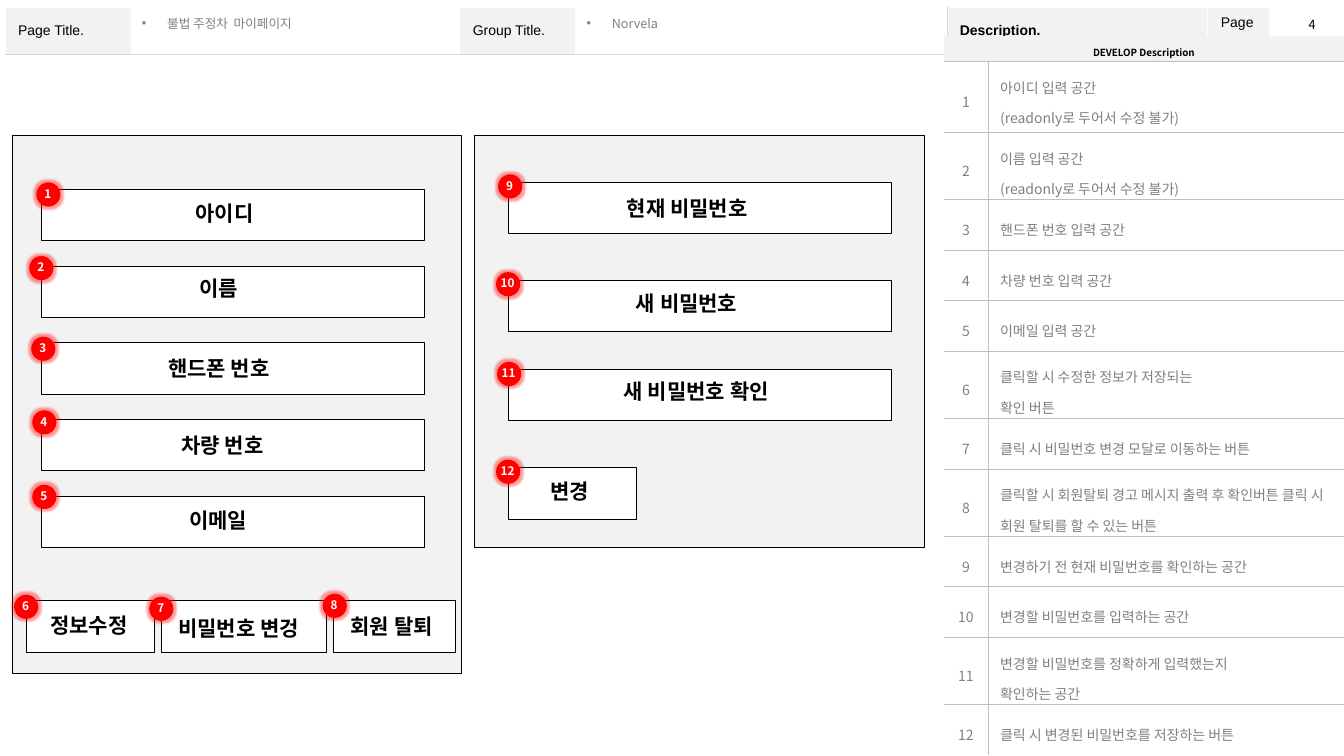
from lxml import etree
from pptx import Presentation
from pptx import util as u
from pptx.dml.color import RGBColor
from pptx.enum import shapes, text
from pptx.oxml.ns import qn

WIDTH, HEIGHT = 13.33, 7.5
KOREAN, LATIN = "Noto Sans CJK KR", "Arial"
COLORS = {"black": "000000", "white": "FFFFFF", "panel": "F2F2F2", "gray": "808080",
          "rule": "BFBFBF", "pale_rule": "D9D9D9", "badge": "FF0000"}

HEADINGS = {0: "Page Title.", 2: "Group Title.", 4: "Description.", 5: "Page."}
HEADER_COLUMNS = [1.26, 3.25, 1.15, 3.68, 2.59, 0.61, 0.68]
HEADER_ROWS = [0.47, 6.66]
HEADER_VALUES = [("불법 주정차  마이페이지", 1.31, 3.24), ("Norvela", 5.72, 3.64)]
PAGE_NUMBER = "4"

DESCRIPTION_TITLE = "DEVELOP Description"
DESCRIPTIONS = [
    "아이디 입력 공간\n(readonly로 두어서 수정 불가)",
    "이름 입력 공간\n(readonly로 두어서 수정 불가)",
    "핸드폰 번호 입력 공간",
    "차량 번호 입력 공간",
    "이메일 입력 공간",
    "클릭할 시 수정한 정보가 저장되는\n확인 버튼",
    "클릭 시 비밀번호 변경 모달로 이동하는 버튼",
    "클릭할 시 회원탈퇴 경고 메시지 출력 후 확인버튼 클릭 시 회원 탈퇴를 할 수 있는 버튼",
    "변경하기 전 현재 비밀번호를 확인하는 공간",
    "변경할 비밀번호를 입력하는 공간",
    "변경할 비밀번호를 정확하게 입력했는지\n확인하는 공간",
    "클릭 시 변경된 비밀번호를 저장하는 버튼",
]
DESCRIPTION_COLUMNS = [0.44, 3.53]
DESCRIPTION_ROWS = [0.25, 0.7, 0.67, 0.5, 0.5, 0.5, 0.67, 0.5, 0.67, 0.5, 0.5, 0.67, 0.5]

PANELS = [(0.12, 1.34, 4.46, 5.34), (4.71, 1.34, 4.46, 4.09)]
FIELD_WIDTH, FIELD_HEIGHT = 3.8, 0.51
LEFT_FIELD, RIGHT_FIELD = 0.41, 5.04
LEFT_ROWS = [1.88 + 0.76 * row for row in range(5)]
BUTTON_ROW = 5.96
# label, (left, top, width) of its box, badge offset and label offset from the box
FIELDS = [
    ("아이디", (LEFT_FIELD, LEFT_ROWS[0], FIELD_WIDTH), (-0.05, -0.07), (1.43, 0.06)),
    ("이름", (LEFT_FIELD, LEFT_ROWS[1], FIELD_WIDTH), (-0.12, -0.1), (1.47, 0.04)),
    ("핸드폰 번호", (LEFT_FIELD, LEFT_ROWS[2], FIELD_WIDTH), (-0.1, -0.06), (1.16, 0.08)),
    ("차량 번호", (LEFT_FIELD, LEFT_ROWS[3], FIELD_WIDTH), (-0.09, -0.09), (1.29, 0.08)),
    ("이메일", (LEFT_FIELD, LEFT_ROWS[4], FIELD_WIDTH), (-0.09, -0.11), (1.37, 0.06)),
    ("정보수정", (0.26, BUTTON_ROW, 1.27), (-0.12, -0.06), (0.14, 0.07)),
    ("비밀번호 변겅", (1.6, BUTTON_ROW, 1.64), (-0.12, -0.04), (0.07, 0.1)),
    ("회원 탈퇴", (3.31, BUTTON_ROW, 1.21), (-0.11, -0.07), (0.07, 0.08)),
    ("현재 비밀번호", (RIGHT_FIELD, 1.81, FIELD_WIDTH), (-0.1, -0.08), (1.08, 0.08)),
    ("새 비밀번호", (RIGHT_FIELD, 2.78, FIELD_WIDTH), (-0.12, -0.08), (1.17, 0.05)),
    ("새 비밀번호 확인", (RIGHT_FIELD, 3.66, FIELD_WIDTH), (-0.11, -0.07), (1.05, 0.05)),
    ("변경", (RIGHT_FIELD, 4.64, 1.27), (-0.12, -0.08), (0.32, 0.06)),
]


def rgb(color):
    return RGBColor.from_string(COLORS[color])


def inches(*lengths):
    return [u.Inches(length) for length in lengths]


def write(frame, words, size, color, bold=False, font=KOREAN, align=None, spacing=None):
    frame.text = words
    for paragraph in frame.paragraphs:
        paragraph.alignment = align
        paragraph.line_spacing = spacing
        for run in paragraph.runs:
            run.font.size, run.font.bold, run.font.name = u.Pt(size), bold, font
            run.font.color.rgb = rgb(color)
            etree.SubElement(run.font._element, qn("a:ea"), typeface=font)


def add_text(parent, words, box, size, color, margin=0.1, **style):
    frame = parent.add_textbox(*inches(*box)).text_frame
    frame.word_wrap = True
    frame.vertical_anchor = text.MSO_ANCHOR.MIDDLE
    frame.margin_left = u.Inches(margin)
    frame.margin_right = frame.margin_top = frame.margin_bottom = 0
    write(frame, words, size, color, **style)
    return frame


def add_box(parent, kind, box, fill, line=None):
    shape = parent.add_shape(kind, *inches(*box))
    shape.shadow.inherit = False
    shape.fill.solid()
    shape.fill.fore_color.rgb = rgb(fill)
    if line:
        shape.line.color.rgb = rgb(line)
        shape.line.width = u.Pt(0.5)
    else:
        shape.line.fill.background()
    return shape


def add_grid(left, top, columns, rows):
    size = (left, top, sum(columns), sum(rows))
    table = slide.shapes.add_table(len(rows), len(columns), *inches(*size)).table
    table.first_row = table.horz_banding = False
    for column, width in zip(table.columns, columns):
        column.width = u.Inches(width)
    for row, height in zip(table.rows, rows):
        row.height = u.Inches(height)
    return table


def style_cell(cell, fill, margins, **borders):
    """Set fill, margins and the borders L, R, T, B as (color, points); a missing one is hidden."""
    cell.vertical_anchor = text.MSO_ANCHOR.MIDDLE
    cell.margin_left = cell.margin_right = u.Inches(margins[0])
    cell.margin_top = cell.margin_bottom = u.Inches(margins[1])
    if fill:
        cell.fill.solid()
        cell.fill.fore_color.rgb = rgb(fill)
    else:
        cell.fill.background()
    properties = cell._tc.get_or_add_tcPr()
    for index, side in enumerate("LRTB"):
        color, points = borders.get(side, (None, 0))
        line = etree.Element(qn("a:ln" + side), w=str(int(u.Pt(points))))
        paint = etree.SubElement(line, qn("a:solidFill" if color else "a:noFill"))
        if color:
            etree.SubElement(paint, qn("a:srgbClr"), val=COLORS[color])
        properties.insert(index, line)


def add_header():
    table = add_grid(0.05, 0.07, HEADER_COLUMNS, HEADER_ROWS)
    white, pale = ("white", 1), ("pale_rule", 0.25)
    for column in range(len(HEADER_COLUMNS)):
        left = pale if column == 4 else white
        right = pale if column == 3 else white
        heading = HEADINGS.get(column)
        top_cell, body_cell = table.cell(0, column), table.cell(1, column)
        style_cell(top_cell, "panel" if heading else None, (0.13, 0.07),
                   L=left, R=right, T=white, B=pale)
        style_cell(body_cell, None, (0.13, 0.07), L=left, R=right, T=pale, B=white)
        if heading:
            write(top_cell.text_frame, heading, 10, "black", column == 4, LATIN)
    table.cell(1, 0).merge(table.cell(1, 3))
    table.cell(1, 4).merge(table.cell(1, 6))

    for value, left, width in HEADER_VALUES:
        frame = add_text(slide.shapes, value, (left, 0.12, width, 0.24), 9, "gray", spacing=0.9)
        properties = frame.paragraphs[0]._p.get_or_add_pPr()
        properties.set("marL", str(u.Inches(0.25)))
        properties.set("indent", str(-u.Inches(0.25)))
        etree.SubElement(properties, qn("a:buFont"), typeface=LATIN)
        etree.SubElement(properties, qn("a:buChar"), char="•")
    add_text(slide.shapes, PAGE_NUMBER, (12.88, 0.12, 0.27, 0.25), 9, "black")


def add_descriptions():
    table = add_grid(9.36, 0.36, DESCRIPTION_COLUMNS, DESCRIPTION_ROWS)
    rule, center = ("rule", 0.25), text.PP_ALIGN.CENTER
    for cell in (table.cell(0, 0), table.cell(0, 1)):
        style_cell(cell, "panel", (0.12, 0), B=rule)
    table.cell(0, 0).merge(table.cell(0, 1))
    write(table.cell(0, 0).text_frame, DESCRIPTION_TITLE, 7, "black", True,
          align=center, spacing=1.5)
    for number, description in enumerate(DESCRIPTIONS, 1):
        edges = {"T": rule}
        if number < len(DESCRIPTIONS):
            edges["B"] = rule
        number_cell, words_cell = table.cell(number, 0), table.cell(number, 1)
        style_cell(number_cell, None, (0.12, 0.06), R=rule, **edges)
        style_cell(words_cell, None, (0.12, 0.06), L=rule, **edges)
        write(number_cell.text_frame, str(number), 10, "gray", align=center, spacing=1.5)
        write(words_cell.text_frame, description, 10, "gray", spacing=1.5)


def add_badge(number, left, top):
    group = slide.shapes.add_group_shape().shapes
    disc = add_box(group, shapes.MSO_SHAPE.OVAL, (left, top, 0.24, 0.24), "badge")
    effects = disc._element.spPr.find(qn("a:effectLst"))
    glow = etree.SubElement(effects, qn("a:glow"), rad=str(u.Pt(3.5)))
    tint = etree.SubElement(glow, qn("a:srgbClr"), val=COLORS["badge"])
    etree.SubElement(tint, qn("a:alpha"), val="40000")
    add_text(group, str(number), (left - 0.14, top - 0.01, 0.51, 0.24), 8.4, "white",
             margin=0, bold=True, align=text.PP_ALIGN.CENTER)


def add_fields():
    for panel in PANELS:
        add_box(slide.shapes, shapes.MSO_SHAPE.RECTANGLE, panel, "panel", "black")
    for label, box, _, _ in FIELDS:
        add_box(slide.shapes, shapes.MSO_SHAPE.RECTANGLE, (*box, FIELD_HEIGHT), "white", "black")
    for number, (label, (left, top, _), badge, offset) in enumerate(FIELDS, 1):
        add_badge(number, left + badge[0], top + badge[1])
        spaces = label.count(" ")
        width = 0.2 + 0.21 * (len(label) - spaces) + 0.08 * spaces
        add_text(slide.shapes, label, (left + offset[0], top + offset[1], width, 0.35),
                 15, "black", bold=True)


presentation = Presentation()
presentation.slide_width, presentation.slide_height = inches(WIDTH, HEIGHT)
slide = presentation.slides.add_slide(presentation.slide_layouts[6])
add_header()
add_descriptions()
add_fields()
presentation.save("out.pptx")
